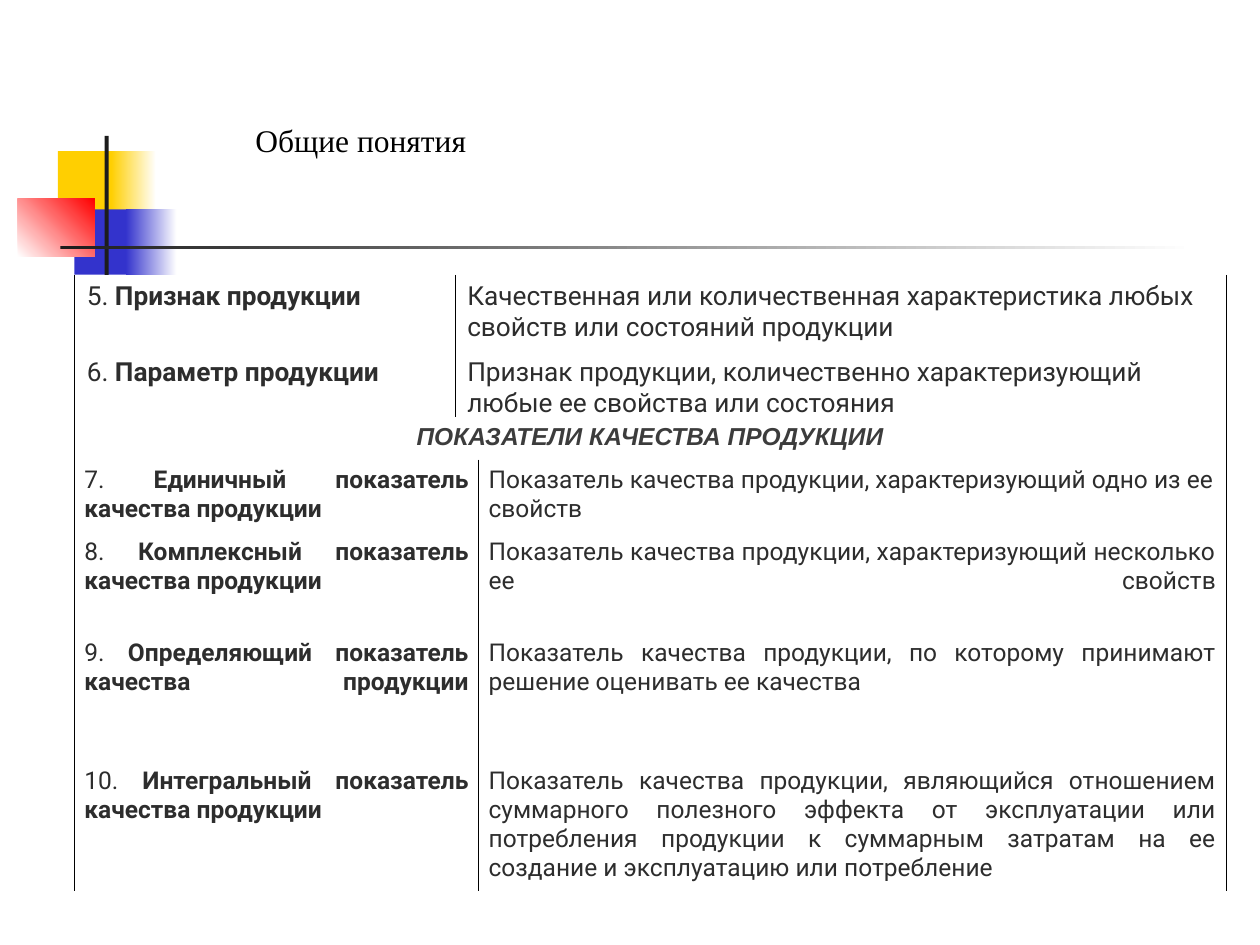
from dataclasses import dataclass

from lxml.etree import SubElement as Sub
from pptx import Presentation
from pptx.dml.color import RGBColor as Rgb
from pptx.enum.shapes import MSO_SHAPE as Form
from pptx.enum.text import PP_ALIGN as Align
from pptx.oxml.ns import qn
from pptx.util import Cm, Pt


@dataclass(frozen=True)
class Theme:
    white: str = "FFFFFF"
    black: str = "000000"
    gold: str = "FFCF01"
    blue: str = "3333CC"
    red: str = "FF0000"
    dark: str = "1C1C1C"
    ink: str = "2D2D2D"
    gray: str = "3C3C3C"
    serif: str = "Times New Roman"
    sans: str = "Arial"
    body: str = "Roboto"
    title: int = 18
    large: int = 15
    small: int = 14
    rule: float = 0.34


def put(thing, values):
    for name, value in values.items():
        setattr(thing, name, value)


class Page:
    def __init__(self, deck, theme):
        self.theme = theme
        self.slide = deck.slides.add_slide(deck.slide_layouts[6])

    def rect(self, box, start, end=None, angle=0):
        shape = self.slide.shapes.add_shape(Form.RECTANGLE, *map(Cm, box))
        shape.shadow.inherit = False
        shape.line.fill.background()
        if end is None:
            shape.fill.solid()
            shape.fill.fore_color.rgb = Rgb.from_string(start)
            return
        shape.fill.gradient()
        shape.fill.gradient_angle = angle
        for stop, color, place in zip(shape.fill.gradient_stops, (start, end), (0, 1)):
            stop.color.rgb = Rgb.from_string(color)
            stop.position = place

    def run(self, para, text, color, **font):
        run = para.add_run()
        run.text = text
        put(run.font, font)
        run.font.color.rgb = Rgb.from_string(color)

    def text(self, box, text):
        frame = self.slide.shapes.add_textbox(*map(Cm, box)).text_frame
        frame.word_wrap = False
        theme = self.theme
        self.run(frame.paragraphs[0], text, theme.black, name=theme.serif, size=Pt(theme.title))

    def cell(self, cell, inset, runs, align, size, gap=False):
        put(cell, {"margin_left": Cm(inset), "margin_right": Cm(inset),
                   "margin_top": Cm(0.13), "margin_bottom": Cm(0.13)})
        props = cell._tc.get_or_add_tcPr()
        for side in "LRTB":
            line = Sub(props, qn(f"a:ln{side}"), w=str(Pt(self.theme.rule)))
            if side in "LR":
                fill = Sub(line, qn("a:solidFill"))
                Sub(fill, qn("a:srgbClr"), val=self.theme.black)
            else:
                Sub(line, qn("a:noFill"))
        cell.fill.solid()
        cell.fill.fore_color.rgb = Rgb.from_string(self.theme.white)
        para = cell.text_frame.paragraphs[0]
        para.alignment = align
        for text, color, font in runs:
            self.run(para, text, color, size=Pt(size), **font)
        points = str(size * 100)
        if gap:
            para.add_line_break()
            Sub(para._p[-1], qn("a:rPr"), sz=points)
        para._p.get_or_add_endParaRPr().set("sz", points)

    def table(self, spot, cols, rows, items, size, inset, head=None):
        theme = self.theme
        frame = self.slide.shapes.add_table(
            len(rows), len(cols), *map(Cm, (*spot, sum(cols), sum(rows))))
        table = frame.table
        put(table, {"first_row": False, "horz_banding": False})
        for col, width in zip(table.columns, cols):
            col.width = Cm(width)
        for row, height in zip(table.rows, rows):
            row.height = Cm(height)
        first = 0
        if head:
            first = 1
            style = {"name": theme.sans, "bold": True, "italic": True}
            self.cell(table.cell(0, 0), inset, [(head, theme.gray, style)], Align.CENTER, size)
            self.cell(table.cell(0, 1), inset, [], None, size)
            table.cell(0, 0).merge(table.cell(0, 1))
        plain = {"name": theme.body, "bold": False}
        strong = {"name": theme.body, "bold": True}
        for row, (mark, term, sense, align, gaps) in enumerate(items, first):
            label = [(mark, theme.ink, plain), (term, theme.ink, strong)]
            self.cell(table.cell(row, 0), inset, label, Align.JUSTIFY, size, 0 in gaps)
            self.cell(table.cell(row, 1), inset, [(sense, theme.ink, plain)], align, size, 1 in gaps)


def main():
    deck = Presentation()
    put(deck, {"slide_width": Cm(25.4), "slide_height": Cm(19.05)})
    theme = Theme()
    page = Page(deck, theme)

    page.rect((1.17, 3.05, 1.22, 1.32), theme.gold)
    page.rect((2.24, 3.05, 0.91, 1.32), theme.gold, theme.white)
    page.rect((1.5, 4.22, 1.17, 1.32), theme.blue)
    page.rect((2.54, 4.22, 1.02, 1.32), theme.blue, theme.white)
    page.rect((0.36, 4.01, 1.55, 1.17), theme.white, theme.red, 45)
    page.rect((2.11, 2.74, 0.08, 2.92), theme.dark)
    page.rect((1.22, 4.95, 22.86, 0.08), theme.dark, theme.white)
    page.text((4.9, 2.31, 14.4, 2.01), "Общие понятия")

    left, full = Align.LEFT, Align.JUSTIFY
    page.table((1.5, 5.54), (7.67, 15.54), (1.52, 1.52), [
        ("5. ", "Признак продукции",
         "Качественная или количественная характеристика любых свойств или состояний продукции",
         left, ()),
        ("6. ", "Параметр продукции",
         "Признак продукции, количественно характеризующий любые ее свойства или состояния",
         left, ()),
    ], theme.large, 0.25)
    page.table((1.5, 8.41), (8.15, 15.06), (0.79, 1.37, 1.98, 2.57, 2.57), [
        ("7. ", "Единичный показатель качества продукции",
         "Показатель качества продукции, характеризующий одно из ее свойств", left, ()),
        ("8. ", "Комплексный показатель качества продукции",
         "Показатель качества продукции, характеризующий несколько ее свойств", full, (1,)),
        ("9. ", "Определяющий показатель качества продукции",
         "Показатель качества продукции, по которому принимают решение оценивать ее качества",
         full, (0,)),
        ("10. ", "Интегральный показатель качества продукции",
         "Показатель качества продукции, являющийся отношением суммарного полезного эффекта "
         "от эксплуатации или потребления продукции к суммарным затратам на ее создание "
         "и эксплуатацию или потребление", full, ()),
    ], theme.small, 0.2, "ПОКАЗАТЕЛИ КАЧЕСТВА ПРОДУКЦИИ")
    deck.save("out.pptx")


if __name__ == "__main__":
    main()
